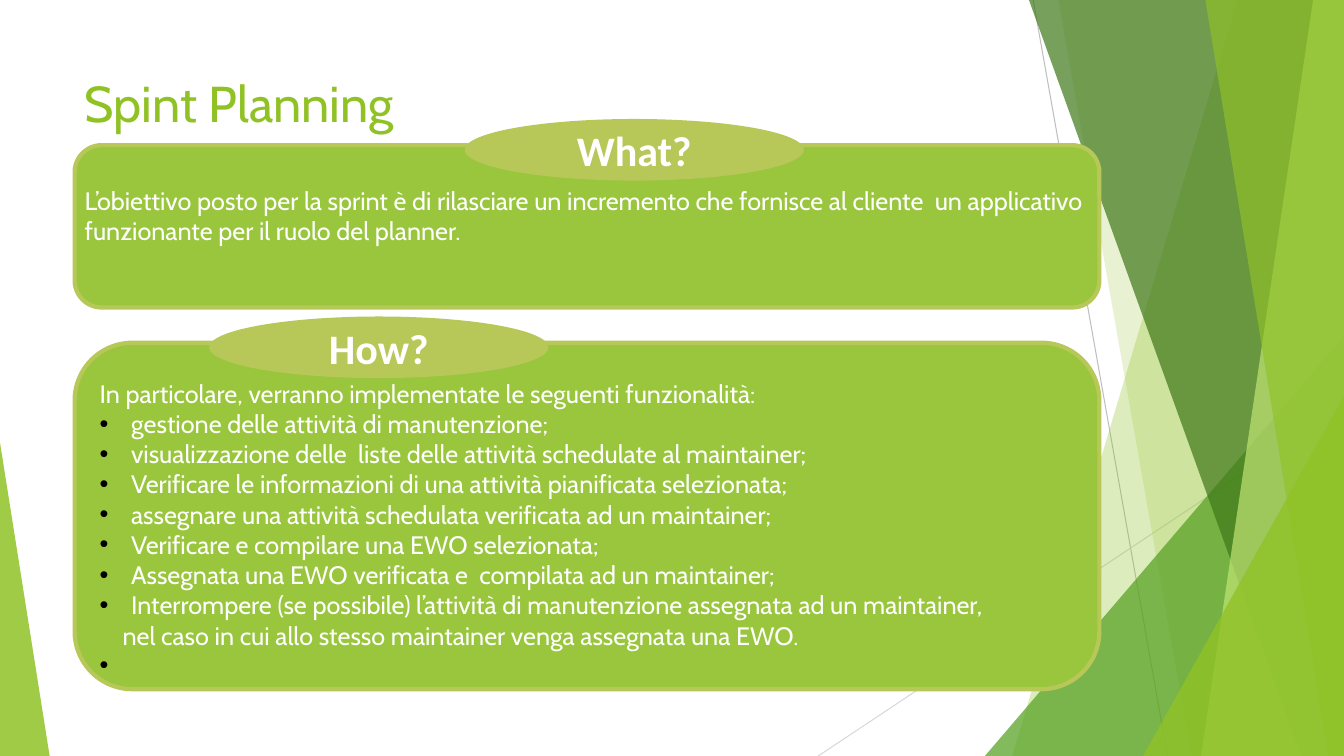
import lxml.etree
import pptx
import pptx.dml.color
import pptx.enum.shapes
import pptx.enum.text
import pptx.oxml.ns
import pptx.util

Pt = pptx.util.Pt
qn = pptx.oxml.ns.qn
SHAPES = pptx.enum.shapes.MSO_SHAPE
ALIGN = pptx.enum.text.PP_ALIGN
ANCHOR = pptx.enum.text.MSO_ANCHOR

WIDTH, HEIGHT = 960, 540
GREEN, PANEL, OLIVE, WHITE, BLACK = "90C226", "99C63D", "B7C758", "FFFFFF", "000000"
BODY_FONT, BADGE_FONT = "Cabin", "Calibri"
LIST_INDENT = 22.5
CONTINUATION_INDENT = 16.5

GUIDE_LINES = [
    ((738, 0), (834, HEIGHT), "BFBFBF"),
    ((WIDTH, 290), (584.5, HEIGHT), "D9D9D9"),
]
# Corner points, colour, opacity in percent
FACETS = [
    ([(884, 0), (WIDTH, 0), (WIDTH, HEIGHT), (723, HEIGHT)], GREEN, 30),
    ([(756, 0), (WIDTH, 0), (WIDTH, HEIGHT), (851, HEIGHT)], GREEN, 20),
    ([(703.5, HEIGHT), (WIDTH, 240), (WIDTH, HEIGHT)], "54A021", 72),
    ([(735, 0), (WIDTH, 0), (WIDTH, HEIGHT), (929.5, HEIGHT)], "3F7819", 70),
    ([(938, 0), (WIDTH, 0), (WIDTH, HEIGHT), (858, HEIGHT)], "C0E474", 70),
    ([(861, 0), (WIDTH, 0), (WIDTH, HEIGHT), (949, HEIGHT)], GREEN, 65),
    ([(816.5, HEIGHT), (WIDTH, 283), (WIDTH, HEIGHT)], GREEN, 80),
    ([(0, HEIGHT), (0, 316), (35.5, HEIGHT)], GREEN, 85),
]
GOAL = ("L’obiettivo posto per la sprint è di rilasciare un incremento che fornisce "
        "al cliente  un applicativo funzionante per il ruolo del planner.")
INTRODUCTION = "In particolare, verranno implementate le seguenti funzionalità:"
FEATURES = [
    "gestione delle attività di manutenzione;",
    "visualizzazione delle  liste delle attività schedulate al maintainer;",
    "Verificare le informazioni di una attività pianificata selezionata;",
    "assegnare una attività schedulata verificata ad un maintainer;",
    "Verificare e compilare una EWO selezionata;",
    "Assegnata una EWO verificata e  compilata ad un maintainer;",
    "Interrompere (se possibile) l’attività di manutenzione assegnata ad un maintainer,",
]
CONTINUATION = "nel caso in cui allo stesso maintainer venga assegnata una EWO."


def color(value):
    return pptx.dml.color.RGBColor.from_string(value)


def set_fill(shape, value):
    shape.shadow.inherit = False
    shape.fill.solid()
    shape.fill.fore_color.rgb = color(value)


def place(shape, left, top, width, height):
    shape.left, shape.top = Pt(left), Pt(top)
    shape.width, shape.height = Pt(width), Pt(height)


def bring_to_front(shape):
    shape.element.getparent().append(shape.element)


def set_indent(paragraph, left, first=0, bullet=None):
    properties = paragraph._p.get_or_add_pPr()
    properties.set("marL", str(Pt(left)))
    properties.set("indent", str(Pt(first)))
    if bullet is None:
        lxml.etree.SubElement(properties, qn("a:buNone"))
        return
    bullet_color = lxml.etree.SubElement(properties, qn("a:buClr"))
    lxml.etree.SubElement(bullet_color, qn("a:srgbClr"), val=BLACK)
    lxml.etree.SubElement(properties, qn("a:buFont"), typeface="Arial")
    lxml.etree.SubElement(properties, qn("a:buChar"), char=bullet)


def write(paragraph, text, size=18, font=BODY_FONT, value=WHITE, bold=False,
          alignment=ALIGN.LEFT):
    paragraph.alignment = alignment
    paragraph.space_before = Pt(0)
    run = paragraph.add_run()
    run.text = text
    run.font.size, run.font.name, run.font.bold = Pt(size), font, bold
    run.font.color.rgb = color(value)


def prepare_frame(shape, anchor=ANCHOR.TOP):
    frame = shape.text_frame
    frame.word_wrap = True
    frame.auto_size = pptx.enum.text.MSO_AUTO_SIZE.NONE
    frame.vertical_anchor = anchor
    return frame


def draw_backdrop(slide):
    for start, end, value in GUIDE_LINES:
        line = slide.shapes.add_connector(
            pptx.enum.shapes.MSO_CONNECTOR.STRAIGHT, *map(Pt, start + end))
        line.line.color.rgb = color(value)
        line.line.width = Pt(0.75)
        lxml.etree.SubElement(line.element.spPr, qn("a:effectLst"))
    for corners, value, opacity in FACETS:
        points = [(Pt(x), Pt(y)) for x, y in corners]
        builder = slide.shapes.build_freeform(*points[0])
        builder.add_line_segments(points[1:], close=True)
        facet = builder.convert_to_shape()
        set_fill(facet, value)
        facet.line.fill.background()
        tint = facet.element.spPr.find(qn("a:solidFill"))[0]
        lxml.etree.SubElement(tint, qn("a:alpha"), val=str(opacity * 1000))


def draw_panel(slide, left, top, width, height):
    panel = slide.shapes.add_shape(
        SHAPES.ROUNDED_RECTANGLE, Pt(left), Pt(top), Pt(width), Pt(height))
    set_fill(panel, PANEL)
    panel.line.color.rgb = color(OLIVE)
    panel.line.width = Pt(3)


def draw_badge(slide, panel_left, panel_top, offset, label):
    """Draw the labelled oval that straddles the top edge of a panel."""
    badge = slide.shapes.add_shape(
        SHAPES.OVAL, Pt(panel_left + offset), Pt(panel_top - 18.7), Pt(242.5), Pt(44))
    set_fill(badge, OLIVE)
    badge.line.fill.background()
    frame = prepare_frame(badge, ANCHOR.MIDDLE)
    frame.margin_top = frame.margin_bottom = 0
    write(frame.paragraphs[0], label, 30, BADGE_FONT, bold=True, alignment=ALIGN.CENTER)


def draw_title(slide, left, top, width, height):
    title = slide.shapes.title
    place(title, left, top, width, height)
    bring_to_front(title)
    write(prepare_frame(title).paragraphs[0], "Spint Planning", 36, value=GREEN)


def draw_what(slide, left, top, width, height):
    draw_panel(slide, left, top, width, height)
    draw_title(slide, left, top - 55.5, 677, 103.5)
    body = slide.placeholders[1]
    place(body, left, top + 25.2, width + 68, 79)
    bring_to_front(body)
    paragraph = prepare_frame(body).paragraphs[0]
    set_indent(paragraph, 0)
    write(paragraph, GOAL)
    draw_badge(slide, left, top, 278.5, "What?")


def draw_how(slide, left, top, width, height):
    draw_panel(slide, left, top, width, height)
    draw_badge(slide, left, top, 96, "How?")
    box = slide.shapes.add_textbox(
        Pt(left + 10.8), Pt(top + 21.6), Pt(width + 38), Pt(height - 22))
    frame = prepare_frame(box)
    write(frame.paragraphs[0], INTRODUCTION)
    for feature in FEATURES:
        paragraph = frame.add_paragraph()
        set_indent(paragraph, LIST_INDENT, -LIST_INDENT, "•")
        write(paragraph, feature)
    paragraph = frame.add_paragraph()
    set_indent(paragraph, CONTINUATION_INDENT)
    write(paragraph, CONTINUATION)
    # The list closes on a visible bullet that has no wording
    paragraph = frame.add_paragraph()
    set_indent(paragraph, LIST_INDENT, -LIST_INDENT, "•")
    write(paragraph, " ", value=BLACK)


def main():
    presentation = pptx.Presentation()
    presentation.slide_width, presentation.slide_height = Pt(WIDTH), Pt(HEIGHT)
    slide = presentation.slides.add_slide(presentation.slide_layouts[1])
    draw_backdrop(slide)
    draw_what(slide, 53.3, 103.7, 732, 116)
    draw_how(slide, 53.3, 244.8, 732, 247.5)
    presentation.save("out.pptx")


if __name__ == "__main__":
    main()
